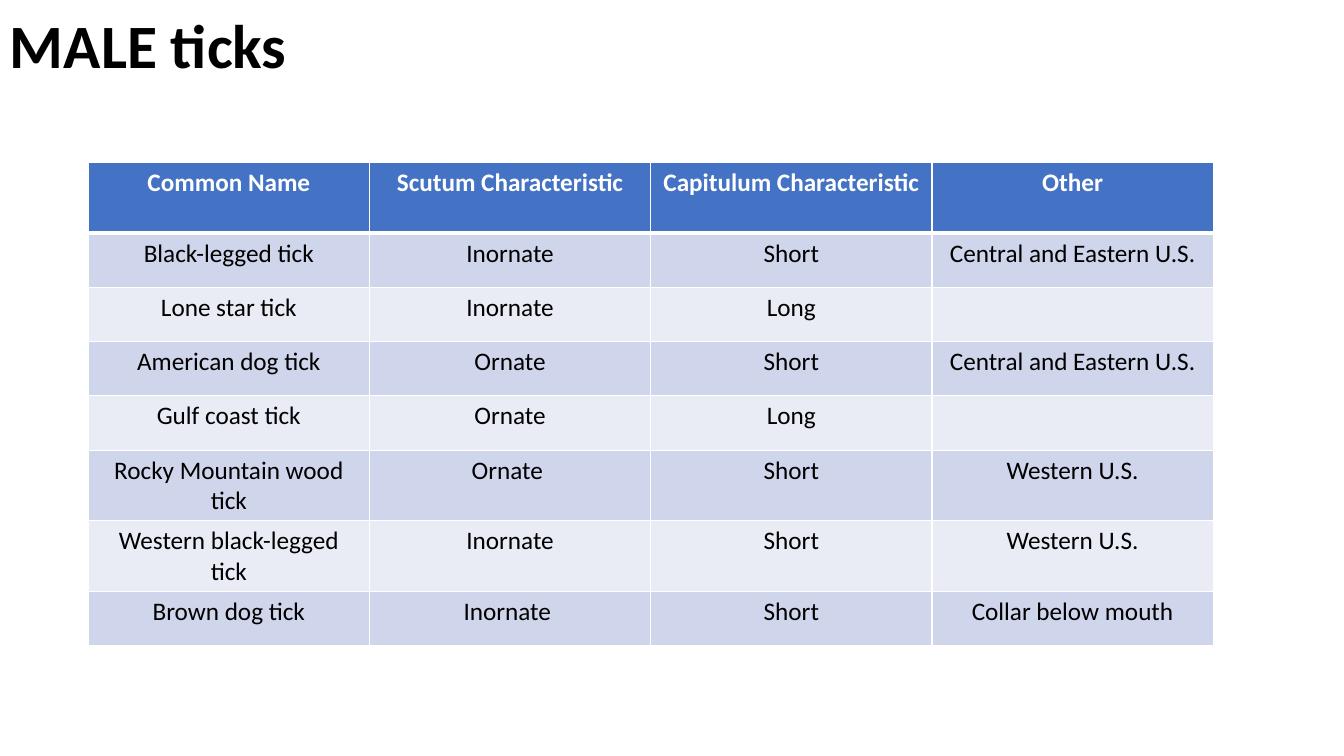
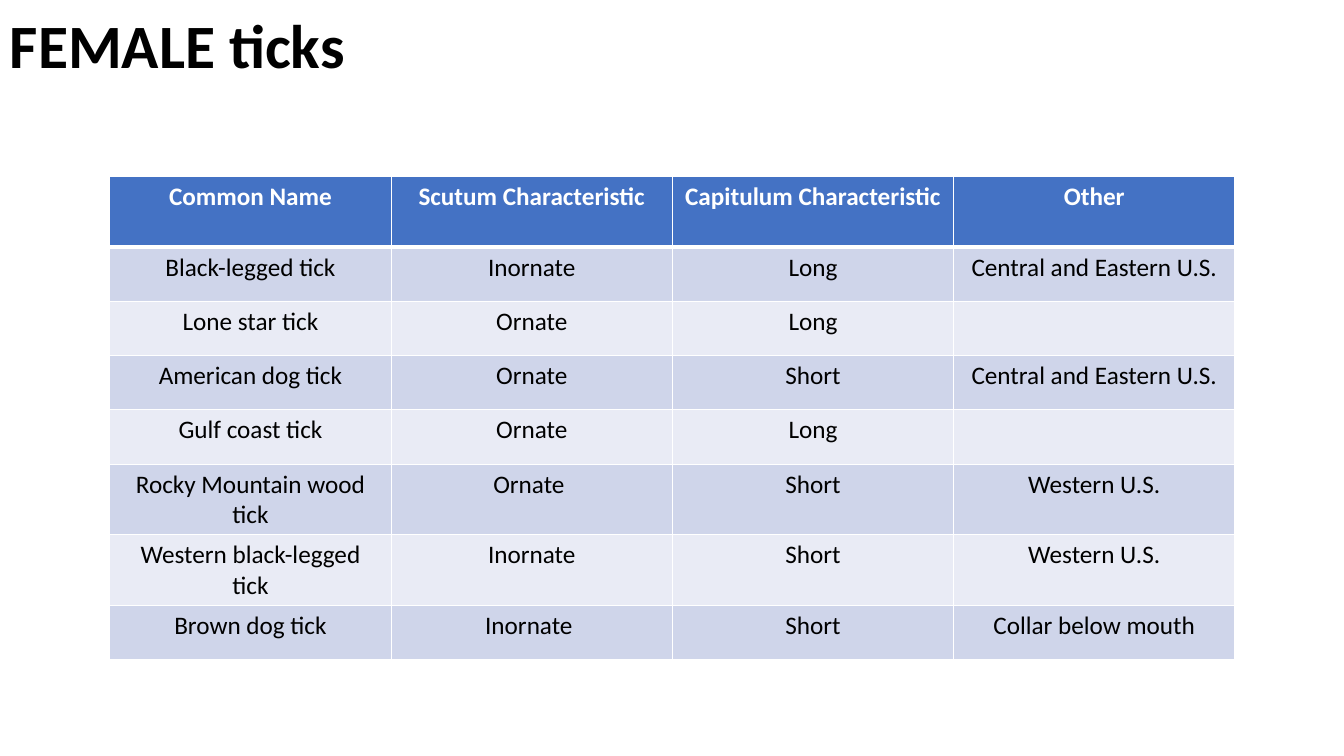
"""Build two slides comparing the features of male and female ticks."""
from lxml.etree import SubElement
from pptx import Presentation
from pptx.dml.color import RGBColor
from pptx.enum.text import MSO_ANCHOR, PP_ALIGN
from pptx.oxml.ns import qn
from pptx.util import Pt

WHITE = RGBColor(0xFF, 0xFF, 0xFF)
BLACK = RGBColor(0x00, 0x00, 0x00)
HEADER_BLUE = RGBColor(0x44, 0x72, 0xC4)
BANDS = (RGBColor(0xE9, 0xEB, 0xF5), RGBColor(0xCF, 0xD5, 0xEA))

SLIDE_WIDTH, SLIDE_HEIGHT = Pt(960), Pt(540)
TITLE_HEIGHT = Pt(70)
COLUMN_WIDTH = Pt(200.9)
HEADER_HEIGHT, ROW_HEIGHT = Pt(50.4), Pt(38.8)

TITLE_FORMAT = {"name": "Calibri", "size": Pt(44), "bold": True}
HEADER_FORMAT = {"name": "Calibri", "size": Pt(18), "bold": True}
BODY_FORMAT = {"name": "Calibri", "size": Pt(18), "bold": False}

HEADINGS = ("Common Name", "Scutum Characteristic", "Capitulum Characteristic", "Other")
TICKS = (
    ("Black-legged tick", "Central and Eastern U.S."),
    ("Lone star tick", ""),
    ("American dog tick", "Central and Eastern U.S."),
    ("Gulf coast tick", ""),
    ("Rocky Mountain wood tick", "Western U.S."),
    ("Western black-legged tick", "Western U.S."),
    ("Brown dog tick", "Collar below mouth"),
)
SLIDES = (
    {
        "title": "MALE ticks",
        "left": Pt(63),
        "top": Pt(116),
        "scutum": ("Inornate", "Inornate", "Ornate", "Ornate", "Ornate ", "Inornate", "Inornate "),
        "capitulum": ("Short", "Long", "Short", "Long", "Short", "Short", "Short"),
    },
    {
        "title": "FEMALE ticks",
        "left": Pt(78.5),
        "top": Pt(126),
        "scutum": ("Inornate", "Ornate", "Ornate", "Ornate", "Ornate ", "Inornate", "Inornate "),
        "capitulum": ("Long", "Long", "Short", "Long", "Short", "Short", "Short"),
    },
)


def write(para, text, font_format, color):
    """Put formatted text into a paragraph."""
    para.text = text
    for name, value in font_format.items():
        setattr(para.font, name, value)
    para.font.color.rgb = color


def add_borders(cell, row_number):
    """Draw white cell borders, thicker between the header and the body."""
    widths = {
        "a:lnL": 1,
        "a:lnR": 1,
        "a:lnT": 3 if row_number == 1 else 1,
        "a:lnB": 3 if row_number == 0 else 1,
    }
    properties = cell._tc.get_or_add_tcPr()
    for tag, width in widths.items():
        line = SubElement(properties, qn(tag), w=str(Pt(width)))
        fill = SubElement(line, qn("a:solidFill"))
        SubElement(fill, qn("a:srgbClr"), val=str(WHITE))


deck = Presentation()
deck.slide_width, deck.slide_height = SLIDE_WIDTH, SLIDE_HEIGHT

for content in SLIDES:
    page = deck.slides.add_slide(deck.slide_layouts[6])

    title_box = page.shapes.add_textbox(0, 0, SLIDE_WIDTH, TITLE_HEIGHT)
    frame = title_box.text_frame
    frame.word_wrap = True
    frame.vertical_anchor = MSO_ANCHOR.MIDDLE
    frame.paragraphs[0].line_spacing = 0.9
    write(frame.paragraphs[0], content["title"], TITLE_FORMAT, BLACK)

    rows = [HEADINGS]
    for (tick, other), scutum, capitulum in zip(TICKS, content["scutum"], content["capitulum"]):
        rows.append((tick, scutum, capitulum, other))

    table = page.shapes.add_table(
        len(rows), len(HEADINGS), content["left"], content["top"],
        COLUMN_WIDTH * len(HEADINGS), HEADER_HEIGHT + ROW_HEIGHT * len(TICKS),
    ).table
    for column in table.columns:
        column.width = COLUMN_WIDTH

    for row_number, texts in enumerate(rows):
        is_header = row_number == 0
        table.rows[row_number].height = HEADER_HEIGHT if is_header else ROW_HEIGHT
        for column_number, text in enumerate(texts):
            cell = table.cell(row_number, column_number)
            add_borders(cell, row_number)
            cell.fill.solid()
            cell.fill.fore_color.rgb = HEADER_BLUE if is_header else BANDS[row_number % 2]
            para = cell.text_frame.paragraphs[0]
            para.alignment = PP_ALIGN.CENTER
            if is_header:
                write(para, text, HEADER_FORMAT, WHITE)
            else:
                write(para, text, BODY_FORMAT, BLACK)

deck.save("out.pptx")
